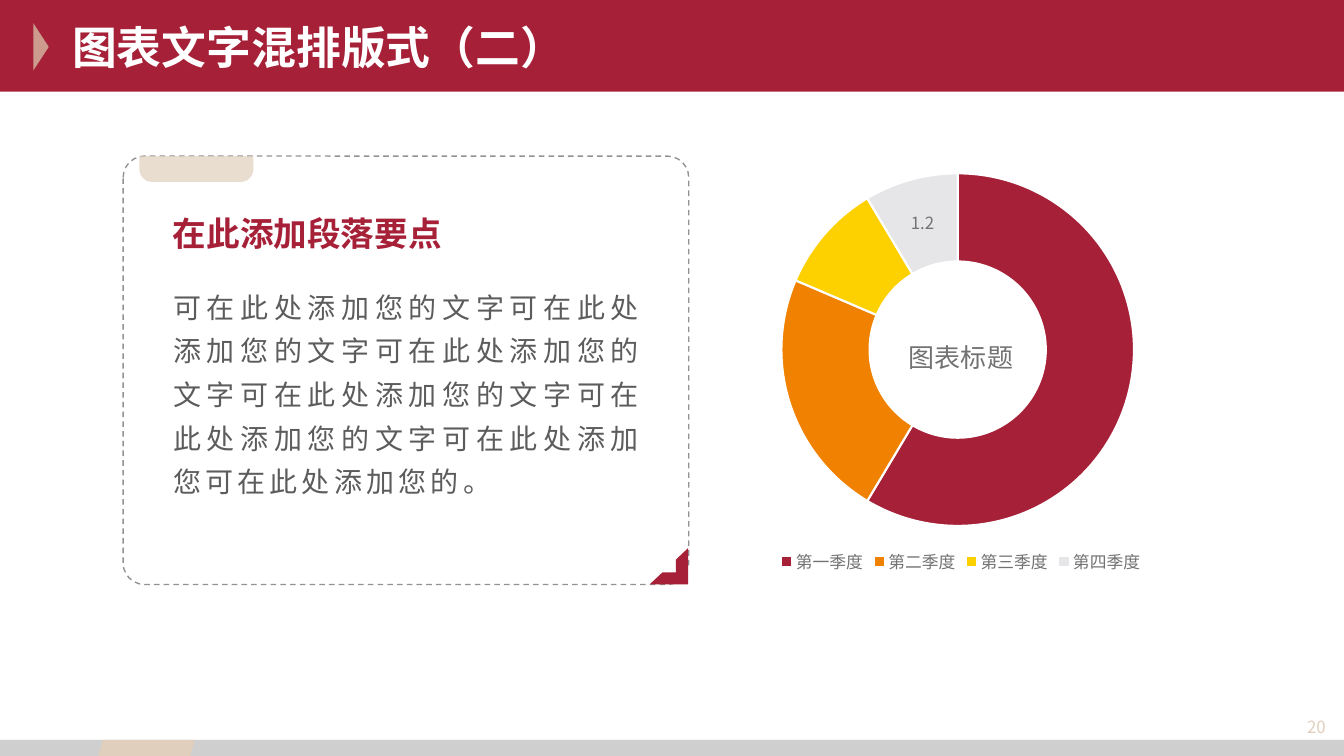
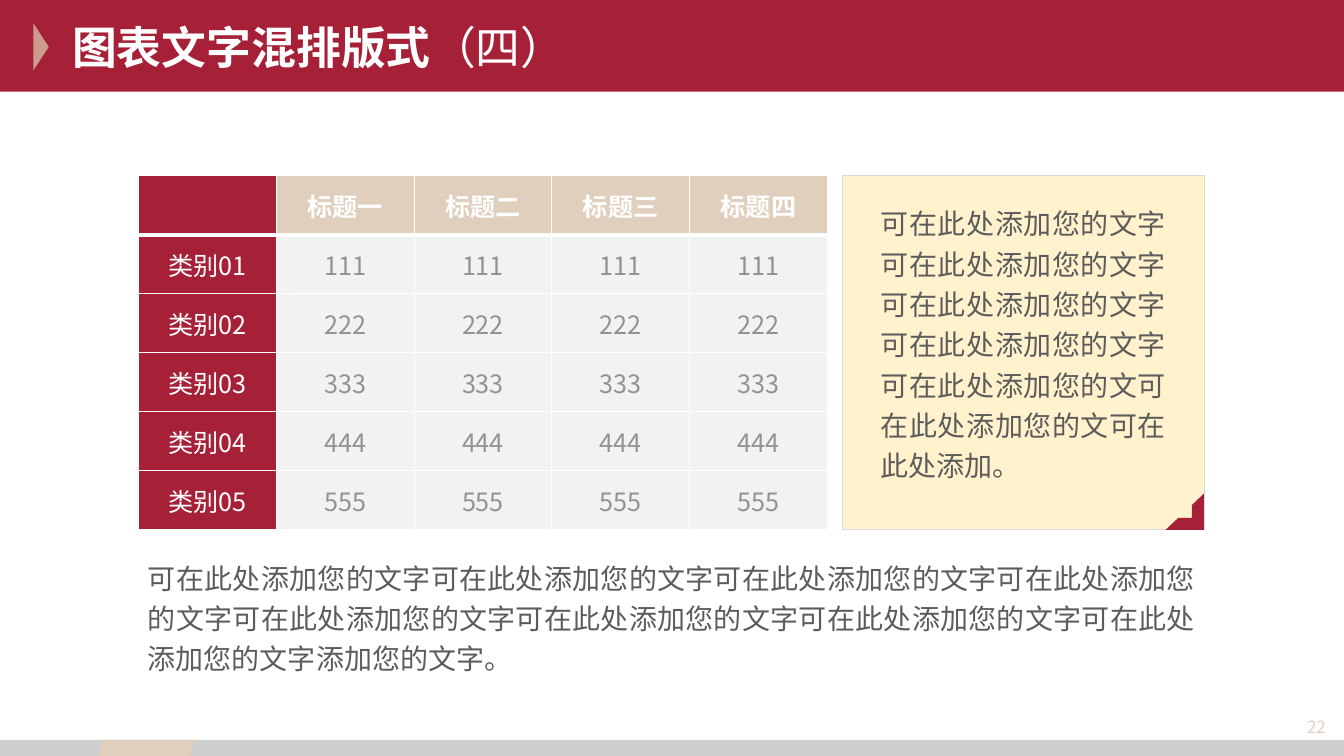
import pptx
import pptx.util
import pptx.dml.color
import pptx.enum.text
import pptx.enum.shapes
import pptx.enum.dml
import pptx.enum.chart
import pptx.chart.data
import pptx.oxml
import pptx.oxml.ns

Pt = pptx.util.Pt
RGBColor = pptx.dml.color.RGBColor
Shape = pptx.enum.shapes.MSO_SHAPE
Align = pptx.enum.text.PP_ALIGN
Anchor = pptx.enum.text.MSO_ANCHOR
qn = pptx.oxml.ns.qn

FONT = "Noto Sans CJK SC"
CRIMSON = RGBColor(0xA6, 0x20, 0x38)
ROSE = RGBColor(0xCC, 0x9B, 0x8E)
SAND = RGBColor(0xE0, 0xCF, 0xBD)
CREAM = RGBColor(0xFF, 0xF2, 0xCC)
ORANGE = RGBColor(0xF1, 0x81, 0x01)
YELLOW = RGBColor(0xFD, 0xD1, 0x00)
SILVER = RGBColor(0xE6, 0xE6, 0xE8)
CELL_GREY = RGBColor(0xF2, 0xF2, 0xF2)
EDGE_GREY = RGBColor(0xD9, 0xD9, 0xD9)
BAR_GREY = RGBColor(0xBF, 0xBF, 0xBF)
MID_GREY = RGBColor(0x92, 0x92, 0x92)
LABEL_GREY = RGBColor(0x72, 0x72, 0x72)
TEXT_GREY = RGBColor(0x5C, 0x5C, 0x5C)
WHITE = RGBColor(0xFF, 0xFF, 0xFF)
DRAWING = 'xmlns:a="http://schemas.openxmlformats.org/drawingml/2006/main"'
CHART = 'xmlns:c="http://schemas.openxmlformats.org/drawingml/2006/chart"'


class Page:
    def __init__(self, deck, title, title_tail, number, tail_bold):
        self.slide = deck.slides.add_slide(deck.slide_layouts[6])
        self.shape(Shape.RECTANGLE, 0, 0, 960, 65.5, CRIMSON)
        self.shape(Shape.ISOSCELES_TRIANGLE, 12.4, 28, 33.8, 11, ROSE, rotation=90)
        self.shape(Shape.RECTANGLE, 0, 528.5, 960, 11.5, BAR_GREY, opacity=75)
        self.shape(Shape.PARALLELOGRAM, 70.5, 528.5, 68.5, 11.5, SAND)
        heading = self.text(title, 44.5, 10, 770, 47, 32, WHITE, bold=True, anchor=Anchor.MIDDLE)
        span = heading.paragraphs[0].add_run()
        span.text = title_tail
        self.style(span.font, 32, WHITE, tail_bold)
        self.text(number, 872.5, 505.5, 81.5, 27, 12, SAND, align=Align.RIGHT, anchor=Anchor.MIDDLE)

    def style(self, font, size, color, bold=False):
        font.name = FONT
        font.size = Pt(size)
        font.bold = bold
        font.color.rgb = color

    def shape(self, kind, left, top, width, height, fill=None, line=None, line_width=1,
              dashed=False, rotation=0, opacity=100, adjustments=()):
        shape = self.slide.shapes.add_shape(kind, Pt(left), Pt(top), Pt(width), Pt(height))
        shape.shadow.inherit = False
        shape.rotation = rotation
        for index, value in enumerate(adjustments):
            shape.adjustments[index] = value
        if fill is None:
            shape.fill.background()
        else:
            shape.fill.solid()
            shape.fill.fore_color.rgb = fill
        if opacity < 100:
            color = shape.fill._xPr.find(qn("a:solidFill"))[0]
            color.append(pptx.oxml.parse_xml(f'<a:alpha {DRAWING} val="{opacity * 1000}"/>'))
        if line is None:
            shape.line.fill.background()
        else:
            shape.line.color.rgb = line
            shape.line.width = Pt(line_width)
            if dashed:
                shape.line.dash_style = pptx.enum.dml.MSO_LINE.DASH

    def text(self, words, left, top, width, height, size, color, bold=False, align=Align.LEFT,
             anchor=Anchor.TOP, line_spacing=None, tracking=0):
        box = self.slide.shapes.add_textbox(Pt(left), Pt(top), Pt(width), Pt(height))
        frame = box.text_frame
        frame.word_wrap = True
        frame.vertical_anchor = anchor
        frame.text = words
        para = frame.paragraphs[0]
        para.alignment = align
        para.line_spacing = line_spacing
        span = para.runs[0]
        self.style(span.font, size, color, bold)
        if tracking:
            span.font._element.set("spc", str(tracking * 100))
        return frame

    def corner(self, right, bottom):
        self.shape(Shape.HALF_FRAME, right - 27.5, bottom - 26, 27.5, 26, CRIMSON, rotation=180)

    def cell(self, cell, words, fill, color, bold, top_border, bottom_border):
        cell.fill.solid()
        cell.fill.fore_color.rgb = fill
        cell.vertical_anchor = Anchor.MIDDLE
        cell.text = words
        para = cell.text_frame.paragraphs[0]
        para.alignment = Align.CENTER
        for span in para.runs:
            self.style(span.font, 18, color, bold)
        borders = {"lnL": 1, "lnR": 1, "lnT": top_border, "lnB": bottom_border}
        for index, (side, width) in enumerate(borders.items()):
            cell._tc.get_or_add_tcPr().insert(index, pptx.oxml.parse_xml(
                f'<a:{side} {DRAWING} w="{Pt(width)}"><a:solidFill>'
                f'<a:srgbClr val="{WHITE}"/></a:solidFill></a:{side}>'))

    def table(self, rows, left, top, width, height):
        frame = self.slide.shapes.add_table(len(rows), len(rows[0]), Pt(left), Pt(top), Pt(width), Pt(height))
        for row, values in enumerate(rows):
            for column, words in enumerate(values):
                header = row == 0
                if column == 0:
                    fill, color = CRIMSON, WHITE
                elif header:
                    fill, color = SAND, WHITE
                else:
                    fill, color = CELL_GREY, MID_GREY
                self.cell(frame.table.cell(row, column), words, fill, color, header,
                          3 if row == 1 else 1, 3 if header else 1)

    def chart_layout(self, inner, **places):
        entries = "".join(f'<c:{name} val="{value}"/>' for name, value in places.items())
        target = '<c:layoutTarget val="inner"/>' if inner else ""
        return pptx.oxml.parse_xml(
            f'<c:layout {CHART}><c:manualLayout>{target}<c:xMode val="edge"/><c:yMode val="edge"/>'
            f'{entries}</c:manualLayout></c:layout>')

    def doughnut(self, title, values, colors, left, top, width, height):
        data = pptx.chart.data.CategoryChartData()
        data.categories = list(values)
        data.add_series("Series 1", list(values.values()))
        chart = self.slide.shapes.add_chart(
            pptx.enum.chart.XL_CHART_TYPE.DOUGHNUT, Pt(left), Pt(top), Pt(width), Pt(height), data).chart
        self.style(chart.font, 12, LABEL_GREY)
        chart.has_legend = True
        chart.legend.position = pptx.enum.chart.XL_LEGEND_POSITION.BOTTOM
        chart.legend.include_in_layout = False
        self.style(chart.legend.font, 12, LABEL_GREY)

        chart.has_title = True
        chart.chart_title.text_frame.text = title
        self.style(chart.chart_title.text_frame.paragraphs[0].runs[0].font, 18.6, LABEL_GREY)
        chart.chart_title.include_in_layout = True
        heading = chart.chart_title._element
        for layout in heading.findall(qn("c:layout")):
            heading.remove(layout)
        heading.find(qn("c:tx")).addnext(self.chart_layout(False, x=0.39, y=0.46))

        plot = chart.plots[0]
        plot.vary_by_categories = True
        plot._element.find(qn("c:holeSize")).set("val", "58")
        area = plot._element.getparent()
        for layout in area.findall(qn("c:layout")):
            area.remove(layout)
        area.insert(0, self.chart_layout(True, x=0.155, y=0.121, w=0.677, h=0.766))
        plot.has_data_labels = True
        plot.data_labels.show_value = True
        plot.data_labels.show_percentage = False
        self.style(plot.data_labels.font, 12, WHITE)
        for index, color in enumerate(colors):
            point = plot.series[0].points[index]
            point.format.fill.solid()
            point.format.fill.fore_color.rgb = color
            point.format.line.color.rgb = WHITE
            point.format.line.width = Pt(1.5)
        self.style(plot.series[0].points[len(colors) - 1].data_label.font, 12, LABEL_GREY)


def build_chart_page(deck):
    page = Page(deck, "图表文字混排版式", "（二）", "20", True)
    quarters = {"第一季度": 8.2, "第二季度": 3.2, "第三季度": 1.4, "第四季度": 1.2}
    page.doughnut("图表标题", quarters, (CRIMSON, ORANGE, YELLOW, SILVER), 500.5, 84, 372, 329)
    page.text("可在此处添加您的文字" * 5 + "可在此处添加您可在此处添加您的。",
              116.5, 196.5, 350, 195, 20, TEXT_GREY, align=Align.JUSTIFY, line_spacing=1.3, tracking=3)
    page.text("在此添加段落要点", 116.5, 155.5, 208, 25, 24, CRIMSON, bold=True,
              anchor=Anchor.MIDDLE, line_spacing=0.96)
    page.shape(Shape.ROUNDED_RECTANGLE, 88, 111.5, 404, 306, line=MID_GREY, dashed=True, adjustments=(0.05,))
    page.corner(491.5, 417.5)
    page.shape(Shape.ROUND_2_SAME_RECTANGLE, 99.5, 111.5, 81.5, 18.5, SAND,
               rotation=180, opacity=70, adjustments=(0.5, 0))


def build_table_page(deck):
    page = Page(deck, "图表文字混排版式", "（四）", "22", False)
    page.shape(Shape.RECTANGLE, 602, 125.5, 258.5, 253, CREAM, line=EDGE_GREY, line_width=0.5)
    page.corner(860, 378.5)
    rows = [["", "标题一", "标题二", "标题三", "标题四"]]
    rows += [[f"类别0{number}"] + [str(number) * 3] * 4 for number in range(1, 6)]
    page.table(rows, 99, 125.5, 492, 253)
    sentence = "可在此处添加您的文字"
    page.text(sentence * 4 + "可在此处添加您的文" * 2 + "可在此处添加。",
              622, 139.5, 218, 208, 20, TEXT_GREY, align=Align.JUSTIFY, line_spacing=1.2)
    page.text(sentence * 8 + "添加您的文字。",
              98.5, 392.5, 762, 92, 20, TEXT_GREY, align=Align.JUSTIFY, line_spacing=1.2)


def main():
    deck = pptx.Presentation()
    deck.slide_width = Pt(960)
    deck.slide_height = Pt(540)
    build_chart_page(deck)
    build_table_page(deck)
    deck.save("out.pptx")


if __name__ == "__main__":
    main()
